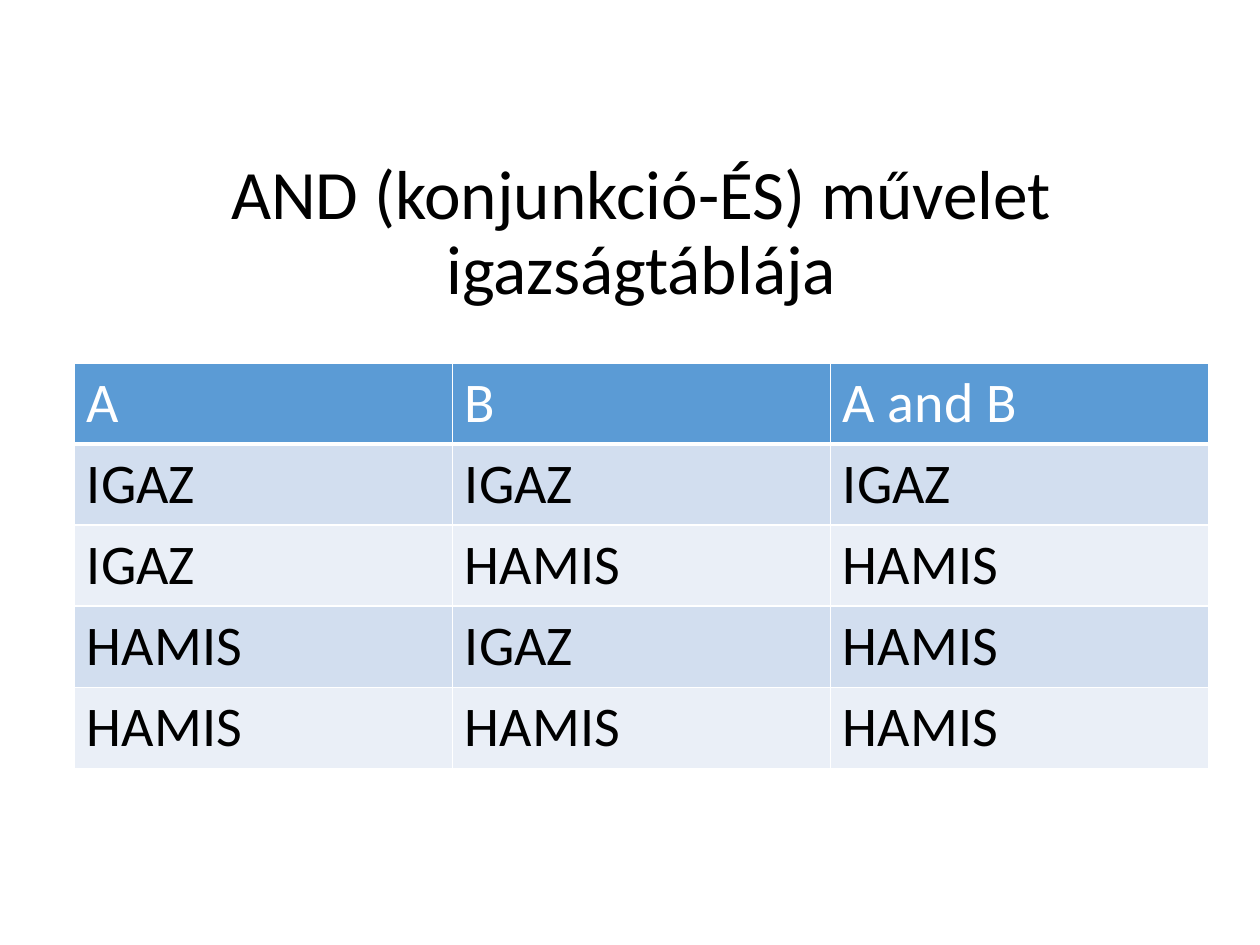
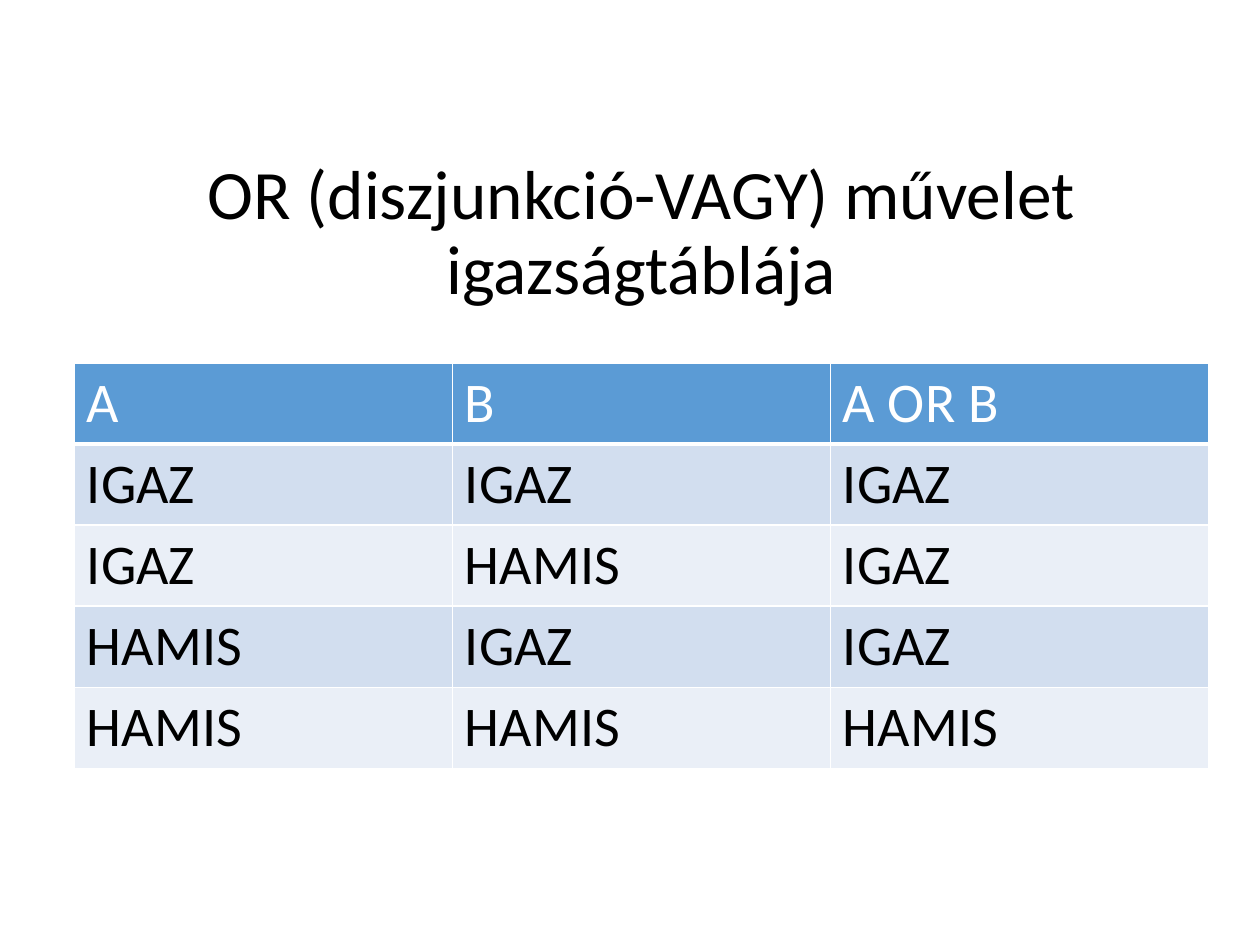
from dataclasses import dataclass
from itertools import product
from typing import Callable

from lxml.etree import SubElement
from pptx import Presentation
from pptx.dml.color import RGBColor
from pptx.enum.text import MSO_ANCHOR, MSO_AUTO_SIZE, PP_ALIGN
from pptx.oxml.ns import qn
from pptx.util import Inches, Pt

FONT = "Calibri"
BLACK, WHITE = "000000", "FFFFFF"
HEAD, BANDS = "5B9BD5", ("D2DEEF", "EAEFF7")
LEFT, WIDTH = Inches(0.59), Inches(9)


@dataclass(frozen=True)
class Truth:
    """A logical operation with its slide title and column label."""
    title: str
    label: str
    rule: Callable[[tuple[bool, ...]], bool]

    def rows(self) -> list[list[str]]:
        """Return the header and the four rows of the truth table."""
        pairs = product((True, False), repeat=2)
        return [["A", "B", self.label]] + [
            [word(val) for val in (*pair, self.rule(pair))] for pair in pairs]


TABLES = (
    Truth("AND (konjunkció-ÉS) művelet igazságtáblája", "A and B", all),
    Truth("OR (diszjunkció-VAGY) művelet igazságtáblája", "A OR B", any),
)


def word(val: bool) -> str:
    """Name a truth value."""
    return "IGAZ" if val else "HAMIS"


def color(code: str) -> RGBColor:
    """Turn a hex string into a colour."""
    return RGBColor.from_string(code)


def write(frame, text: str, *, size: float, ink: str = BLACK,
          align=PP_ALIGN.LEFT, space: float = 1.0) -> None:
    """Put one formatted paragraph in a text frame."""
    frame.text = text
    para = frame.paragraphs[0]
    para.alignment, para.line_spacing = align, space
    font = para.runs[0].font
    font.name, font.size, font.bold = FONT, Pt(size), False
    font.color.rgb = color(ink)


def border(cell, base: float) -> None:
    """Draw white lines around a cell, with its own width at the base."""
    props = cell._tc.get_or_add_tcPr()
    for side, width in (("L", 1), ("R", 1), ("T", 1), ("B", base)):
        line = SubElement(props, qn(f"a:ln{side}"), w=str(Pt(width)))
        fill = SubElement(line, qn("a:solidFill"))
        SubElement(fill, qn("a:srgbClr"), val=WHITE)


def head(slide, text: str) -> None:
    """Place and fill the slide title."""
    title = slide.shapes.title
    title.left, title.top = LEFT, Inches(1.31)
    title.width, title.height = WIDTH, Inches(1.1)
    frame = title.text_frame
    frame.word_wrap, frame.auto_size = True, MSO_AUTO_SIZE.NONE
    frame.vertical_anchor = MSO_ANCHOR.MIDDLE
    write(frame, text, size=39.6, align=PP_ALIGN.CENTER, space=0.9)


def grid(slide, rows: list[list[str]]) -> None:
    """Draw a table with a header and banded rows."""
    table = slide.shapes.add_table(len(rows), len(rows[0]), LEFT, Inches(2.88),
                                   WIDTH, Inches(3.17)).table
    for row, texts in enumerate(rows):
        top = row == 0
        for col, text in enumerate(texts):
            cell = table.cell(row, col)
            border(cell, base=3 if top else 1)
            cell.fill.solid()
            cell.fill.fore_color.rgb = color(HEAD if top else BANDS[(row - 1) % 2])
            write(cell.text_frame, text, size=32, ink=WHITE if top else BLACK)


def main() -> None:
    """Build and save the deck."""
    deck = Presentation()
    deck.slide_width, deck.slide_height = Inches(10), Inches(7.5)
    for truth in TABLES:
        slide = deck.slides.add_slide(deck.slide_layouts[5])
        head(slide, truth.title)
        grid(slide, truth.rows())
    deck.save("out.pptx")


if __name__ == "__main__":
    main()
